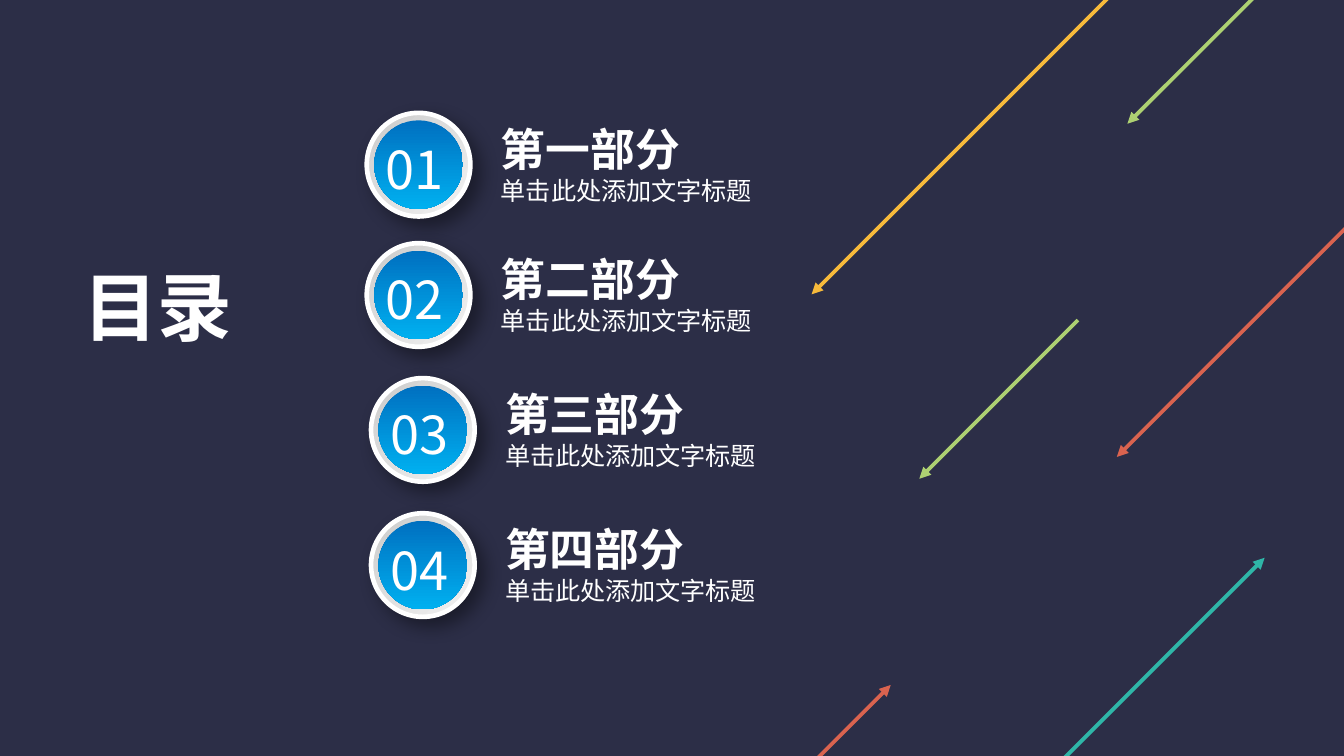
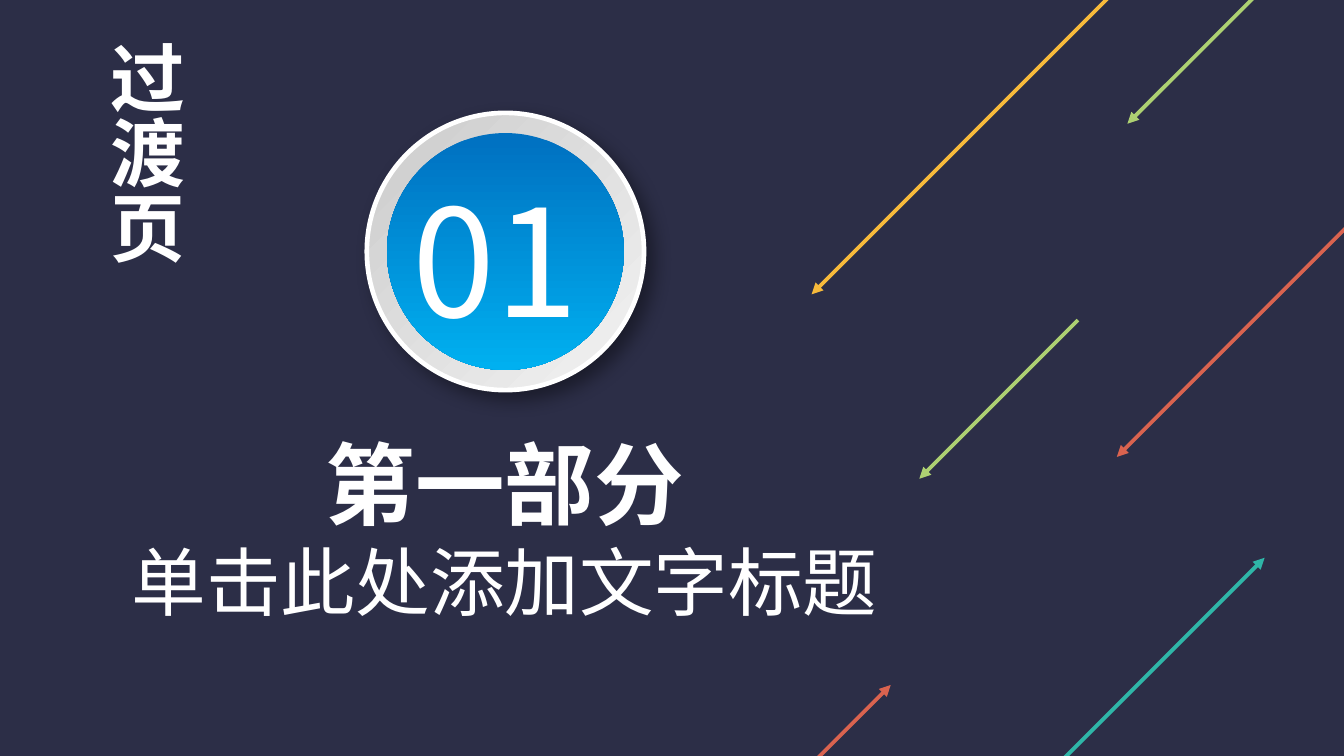
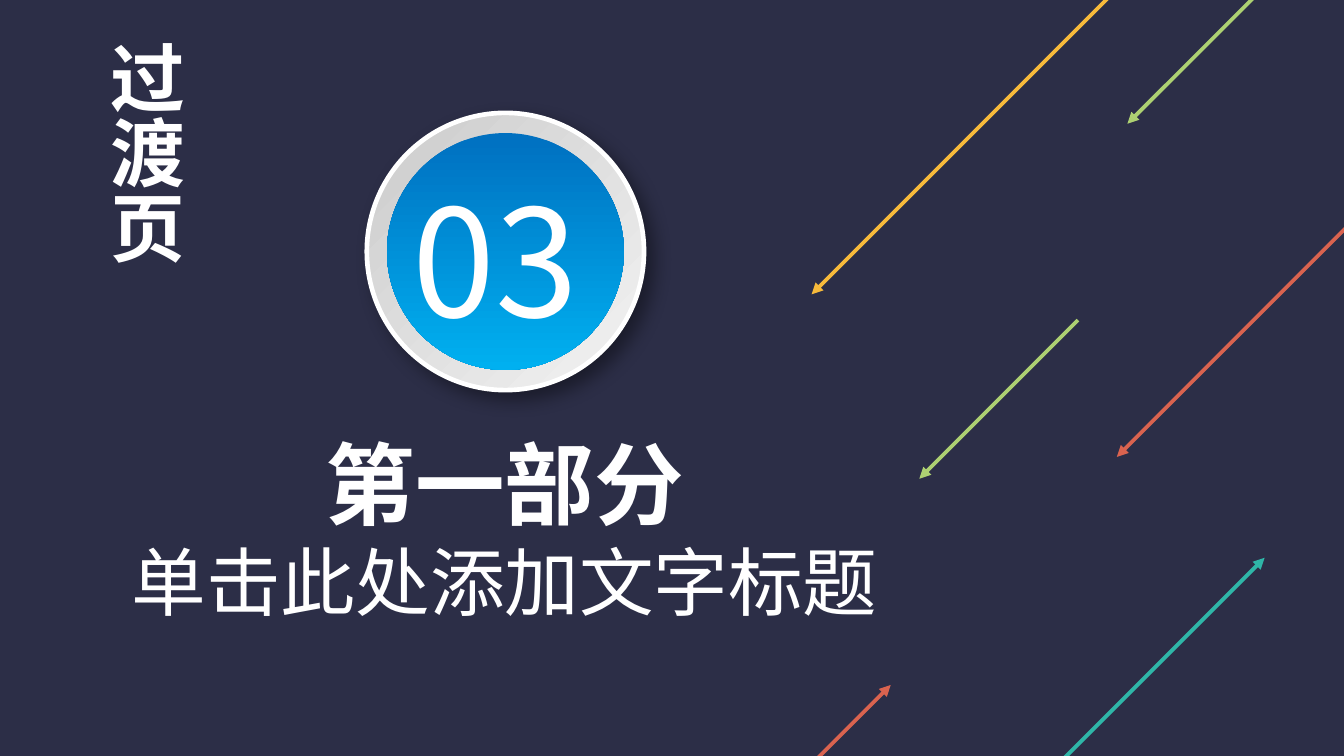
import dataclasses

import pptx
import pptx.dml.color
import pptx.enum.shapes
import pptx.enum.text
import pptx.oxml
import pptx.oxml.ns
import pptx.util

Pt = pptx.util.Pt
ALIGN = pptx.enum.text.PP_ALIGN
SHAPE = pptx.enum.shapes.MSO_SHAPE


@dataclasses.dataclass(frozen=True)
class Theme:
    font: str = "Noto Sans CJK SC"
    background: str = "2C2E47"
    text: str = "FFFFFF"
    ring: tuple = ("CBCBCB", "F3F3F3")
    rim: tuple = ("CBCBCB", "FFFFFF", "CBCBCB")
    core: tuple = ("0070C0", "00B0F0")
    yellow: str = "F7BA3B"
    green: str = "ADD072"
    red: str = "DA634F"
    teal: str = "2FB6A8"
    rim_width: float = 2.5
    arrow_width: float = 2
    title_size: float = 40
    number_size: float = 28
    heading_size: float = 24
    caption_size: float = 13.5
    big_number_size: float = 80
    big_heading_size: float = 48
    big_caption_size: float = 40


def rgb(value):
    return pptx.dml.color.RGBColor.from_string(value)


def add_xml(parent, markup):
    tag, rest = markup[1:].split(" ", 1)
    node = pptx.oxml.parse_xml(f"<{tag} {pptx.oxml.ns.nsdecls('a')} {rest}")
    parent.append(node)
    return node


class Painter:
    """Draws the elements of the deck on the current slide in one style."""

    def __init__(self, theme):
        self.theme = theme
        self.deck = pptx.Presentation()
        self.deck.slide_width = Pt(720)
        self.deck.slide_height = Pt(405)
        self.page = None

    def start_page(self):
        self.page = self.deck.slides.add_slide(self.deck.slide_layouts[6])
        fill = self.page.background.fill
        fill.solid()
        fill.fore_color.rgb = rgb(self.theme.background)

    def text(self, bounds, lines, align=ALIGN.LEFT, wrap=False, vertical=False, parent=None):
        shapes = (parent or self.page).shapes
        box = shapes.add_textbox(*map(Pt, bounds))
        frame = box.text_frame
        formats = {"word_wrap": wrap, "auto_size": pptx.enum.text.MSO_AUTO_SIZE.SHAPE_TO_FIT_TEXT}
        for name, value in formats.items():
            setattr(frame, name, value)
        if vertical:
            box.element.txBody.bodyPr.set("vert", "eaVert")
        for index, (words, size, bold) in enumerate(lines):
            para = frame.add_paragraph() if index else frame.paragraphs[0]
            para.alignment = align
            span = para.add_run()
            span.text = words
            for name, value in {"name": self.theme.font, "size": Pt(size), "bold": bold}.items():
                setattr(span.font, name, value)
            span.font.color.rgb = rgb(self.theme.text)
            add_xml(span.font._element, f'<a:ea typeface="{self.theme.font}"/>')

    def disc(self, group, left, top, size, colors, angle):
        disc = group.shapes.add_shape(SHAPE.OVAL, *map(Pt, (left, top, size, size)))
        disc.shadow.inherit = False
        disc.line.fill.background()
        disc.fill.gradient()
        disc.fill.gradient_angle = 360 - angle
        for stop, color, position in zip(disc.fill.gradient_stops, colors, (0, 1)):
            stop.color.rgb = rgb(color)
            stop.position = position
        return disc

    def rim(self, disc):
        disc.line.width = Pt(self.theme.rim_width)
        properties = disc.element.spPr
        outline = properties.find(pptx.oxml.ns.qn("a:ln"))
        outline.remove(outline.find(pptx.oxml.ns.qn("a:noFill")))
        stops = "".join(
            f'<a:gs pos="{index * 50000}"><a:srgbClr val="{color}"/></a:gs>'
            for index, color in enumerate(self.theme.rim)
        )
        add_xml(outline, f'<a:gradFill rotWithShape="1"><a:gsLst>{stops}</a:gsLst>'
                         '<a:lin ang="2700000" scaled="0"/></a:gradFill>')
        add_xml(properties.find(pptx.oxml.ns.qn("a:effectLst")),
                f'<a:outerShdw blurRad="{Pt(10)}" dist="{Pt(6)}" dir="2700000" algn="tl" '
                'rotWithShape="0"><a:srgbClr val="000000"><a:alpha val="40000"/>'
                '</a:srgbClr></a:outerShdw>')

    def badge(self, number, left, top, size, inset, label_drop, label_height, text_size):
        group = self.page.shapes.add_group_shape()
        self.rim(self.disc(group, left, top, size, self.theme.ring, 45))
        self.disc(group, left + inset, top + inset, size - 2 * inset, self.theme.core, 90)
        self.text((left, top + label_drop, size - inset, label_height),
                  [(number, text_size, False)], ALIGN.CENTER, wrap=True, parent=group)

    def arrow(self, start, end, color, tip):
        line = self.page.shapes.add_connector(
            pptx.enum.shapes.MSO_CONNECTOR.STRAIGHT, *map(Pt, start + end))
        line.line.width = Pt(self.theme.arrow_width)
        line.line.color.rgb = rgb(color)
        properties = line.element.spPr
        add_xml(properties.find(pptx.oxml.ns.qn("a:ln")), f'<a:{tip} type="triangle"/>')
        add_xml(properties, "<a:effectLst />")

    def arrows(self):
        theme = self.theme
        for right, top, reach, color, tip in (
            (663, -70.5, 228.2, theme.yellow, "tailEnd"),
            (689, -18.7, 85, theme.green, "tailEnd"),
            (753.8, 89.3, 155.5, theme.red, "tailEnd"),
            (677.5, 298.8, 130.3, theme.teal, "headEnd"),
            (477.2, 367, 60.5, theme.red, "headEnd"),
            (577.5, 171.5, 85, theme.green, "tailEnd"),
        ):
            self.arrow((right, top), (right - reach, top + reach), color, tip)

    def contents(self, title, sections, caption):
        theme = self.theme
        self.start_page()
        for index, (heading, left, top) in enumerate(sections, 1):
            self.badge(f"{index:02}", left, top, 55.5, 4, 9.6, 41, theme.number_size)
            self.text((left + 64.8, top + 1, 151.2, 52.5),
                      [(heading, theme.heading_size, True), (caption, theme.caption_size, False)])
        self.text((37.5, 136, 95, 55.5), [(title, theme.title_size, True)])
        self.arrows()

    def divider(self, title, number, heading, caption):
        theme = self.theme
        self.start_page()
        self.badge(number, 196.5, 60.5, 148.5, 10.8, 26, 104.5, theme.big_number_size)
        self.text((61.2, 226, 418.3, 113.8),
                  [(heading, theme.big_heading_size, True),
                   (caption, theme.big_caption_size, False)], ALIGN.CENTER)
        self.text((41.8, 15, 63.4, 128.2), [(title, theme.title_size, True)], vertical=True)
        self.arrows()


def main():
    caption = "单击此处添加文字标题"
    sections = (
        ("第一部分", 196.5, 60.5),
        ("第二部分", 196.5, 130.3),
        ("第三部分", 198.8, 202.6),
        ("第四部分", 198.8, 275),
    )
    painter = Painter(Theme())
    painter.contents("目录", sections, caption)
    for number in ("01", "03"):
        painter.divider("过渡页", number, "第一部分", caption)
    painter.deck.save("out.pptx")


if __name__ == "__main__":
    main()
